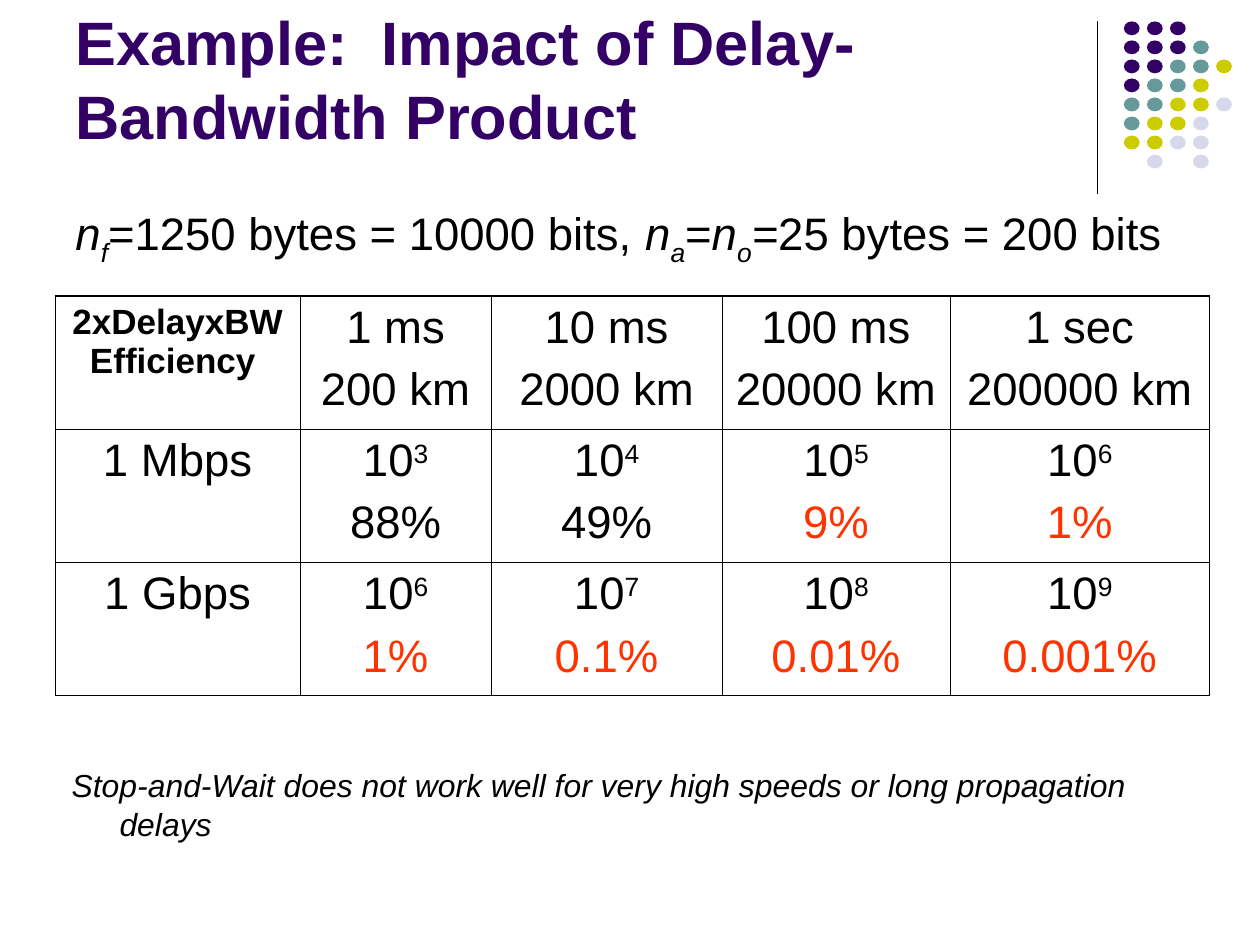
from lxml.etree import SubElement
from pptx import Presentation
from pptx.dml.color import RGBColor
from pptx.enum.shapes import MSO_CONNECTOR, MSO_SHAPE
from pptx.enum.text import MSO_ANCHOR, PP_ALIGN
from pptx.oxml import parse_xml
from pptx.oxml.ns import nsdecls, qn
from pptx.util import Inches, Pt

BLACK = RGBColor(0x00, 0x00, 0x00)
PURPLE = RGBColor(0x33, 0x00, 0x66)
TEAL = RGBColor(0x66, 0x99, 0x99)
OLIVE = RGBColor(0xCC, 0xCC, 0x00)
LILAC = RGBColor(0xD8, 0xD8, 0xEC)
RED = RGBColor(0xFF, 0x33, 0x00)

prs = Presentation()
prs.slide_width, prs.slide_height = Inches(10), Inches(7.5)
U = prs.slide_width // 100  # grid of 100 columns by 75 rows
s = prs.slides.add_slide(prs.slide_layouts[6])


def add_run(p, text, size, color=BLACK, baseline=0, **font):
    """Append a run; baseline is a percentage, negative for subscript."""
    r = p.add_run()
    r.text = text
    r.font.color.rgb = color
    for name, value in {"name": "Arial", "size": Pt(size), **font}.items():
        setattr(r.font, name, value)
    if baseline:
        r._r.get_or_add_rPr().set("baseline", str(baseline * 1000))


def add_box(left, top, width, height, anchor=MSO_ANCHOR.TOP, hanging=0):
    """Add a text box in grid units and return its first paragraph."""
    tf = s.shapes.add_textbox(*(int(v * U) for v in (left, top, width, height))).text_frame
    tf.word_wrap = True
    tf.vertical_anchor = anchor
    p = tf.paragraphs[0]
    if hanging:
        p.space_before = Pt(6.5)
        pPr = p._p.get_or_add_pPr()
        pPr.set("marL", str(int(hanging * U)))
        pPr.set("indent", str(int(-hanging * U)))
    return p


# Corner decoration: rule and dot grid
rule = s.shapes.add_connector(
    MSO_CONNECTOR.STRAIGHT, *(int(v * U) for v in (87.1, 1.7, 87.1, 15.4)))
rule.line.color.rgb = BLACK
rule.line.width = Pt(0.75)
SubElement(rule._element.spPr, qn("a:effectLst"))

DOT_COLORS = {"P": PURPLE, "T": TEAL, "O": OLIVE, "L": LILAC}
DOT_ROWS = ["PPP", "PPPT", "PPTTO", "PTTO", "TTOOL", "TOOL", "OOLL", ".L.L"]
dots = s.shapes.add_group_shape()
for row, codes in enumerate(DOT_ROWS):
    for col, code in enumerate(codes):
        if code in DOT_COLORS:
            dot = dots.shapes.add_shape(
                MSO_SHAPE.OVAL, int((89.2 + 1.83 * col) * U),
                int((1.7 + 1.51 * row) * U), int(1.25 * U), int(1.1 * U))
            dot.shadow.inherit = False
            dot.fill.solid()
            dot.fill.fore_color.rgb = DOT_COLORS[code]
            dot.line.fill.background()

# Title and frame sizes
p = add_box(5, 1.3, 82.5, 11.2, anchor=MSO_ANCHOR.BOTTOM)
add_run(p, "Example:  Impact of Delay-Bandwidth Product", 35, PURPLE, bold=True)

p = add_box(5, 15.8, 93.5, 7.5, hanging=3.8)
for text, baseline, italic in [
        ("n", 0, True), ("f", -25, True), ("=1250 bytes = 10000 bits, ", 0, False),
        ("n", 0, True), ("a", -25, True), ("=", 0, False),
        ("n", 0, True), ("o", -25, True), ("=", 0, True),
        ("25 bytes = 200 bits", 0, False)]:
    add_run(p, text, 26, baseline=baseline, italic=italic)

# Efficiency table: each cell is a list of lines, "^" starts a superscript
COLUMNS = [19.4, 15.2, 18.3, 18.1, 20.6]
ROW_HEIGHT = 10.55
CELLS = [
    [["2xDelayxBW Efficiency "], ["1 ms", "200 km"], ["10 ms", "2000 km"],
     ["100 ms", "20000 km"], ["1 sec", "200000 km"]],
    [["1 Mbps"], ["10^3", "88%"], ["10^4", "49%"], ["10^5", "9%"], ["10^6", "1%"]],
    [["1 Gbps"], ["10^6", "1%"], ["10^7", "0.1%"], ["10^8", "0.01%"], ["10^9", "0.001%"]],
]
LOW = {"9%", "1%", "0.1%", "0.01%", "0.001%"}
last_row, last_col = len(CELLS) - 1, len(COLUMNS) - 1

table = s.shapes.add_table(
    len(CELLS), len(COLUMNS), int(4.4 * U), int(23.5 * U),
    int(sum(COLUMNS) * U), int(ROW_HEIGHT * len(CELLS) * U)).table
table.first_row = table.horz_banding = False
for column, width in zip(table.columns, COLUMNS):
    column.width = int(width * U)

for i, row in enumerate(CELLS):
    table.rows[i].height = int(ROW_HEIGHT * U)
    for j, lines in enumerate(row):
        cell = table.cell(i, j)
        corner = i == j == 0
        for k, line in enumerate(lines):
            p = cell.text_frame.add_paragraph() if k else cell.text_frame.paragraphs[0]
            p.alignment = PP_ALIGN.CENTER
            p.space_before = Pt(5 if corner else 6.5)
            base, _, power = line.partition("^")
            add_run(p, base, 20 if corner else 26, RED if line in LOW else BLACK, bold=corner)
            if power:
                add_run(p, power, 26, baseline=30, bold=False)
        outer = {"L": j == 0, "R": j == last_col, "T": i == 0, "B": i == last_row}
        for side, is_outer in outer.items():
            cell._tc.get_or_add_tcPr().append(parse_xml(
                f'<a:ln{side} {nsdecls("a")} w="{Pt(1.08 if is_outer else 0.45)}">'
                f'<a:solidFill><a:srgbClr val="{BLACK}"/></a:solidFill></a:ln{side}>'))
        cell.fill.background()

# Conclusion
p = add_box(4.7, 60.3, 93.5, 7.5, hanging=3.8)
add_run(p, "Stop-and-Wait does not work well for very high speeds or long propagation delays",
        18.2, italic=True)

prs.save("out.pptx")
